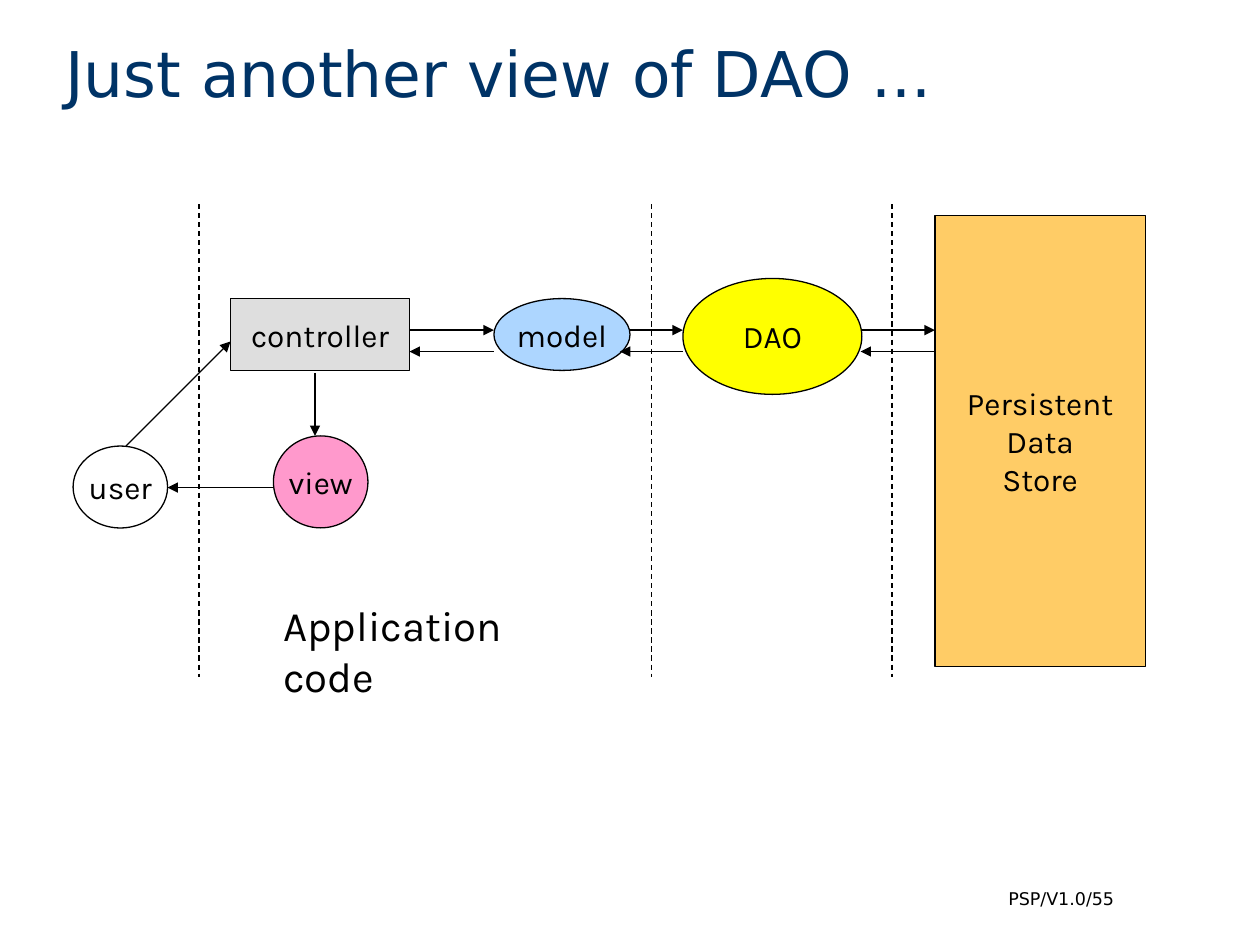
from lxml import etree
from pptx import Presentation
from pptx.dml.color import RGBColor
from pptx.enum import dml, shapes, text
from pptx.oxml.ns import qn
from pptx.util import Inches, Pt

BLACK = RGBColor(0x00, 0x00, 0x00)
NAVY = RGBColor(0x00, 0x33, 0x66)
GREY = RGBColor(0xDE, 0xDE, 0xDE)
BLUE = RGBColor(0xAD, 0xD6, 0xFF)
PINK = RGBColor(0xFF, 0x99, 0xCC)
YELLOW = RGBColor(0xFF, 0xFF, 0x00)
ORANGE = RGBColor(0xFF, 0xCC, 0x66)

SANS, KARLA = "DejaVu Sans", "Karla"
RECT, OVAL = shapes.MSO_SHAPE.RECTANGLE, shapes.MSO_SHAPE.OVAL
LEFT, MID, RIGHT = (text.PP_ALIGN.LEFT, text.PP_ALIGN.CENTER,
                    text.PP_ALIGN.RIGHT)
TOP, CORE, BASE = (text.MSO_ANCHOR.TOP, text.MSO_ANCHOR.MIDDLE,
                   text.MSO_ANCHOR.BOTTOM)

# Heights of the paired arrows: requests above, replies below
ASK, REPLY = 2.62, 2.79


def write(shape, lines, size, font, color=BLACK, align=LEFT, anchor=TOP,
          wrap=True):
    frame = shape.text_frame
    frame.word_wrap = wrap
    frame.vertical_anchor = anchor
    for i, line in enumerate(lines):
        para = frame.add_paragraph() if i else frame.paragraphs[0]
        para.alignment = align
        run = para.add_run()
        run.text = line
        run.font.size = Pt(size)
        run.font.name = font
        run.font.color.rgb = color


def label(slide, box, words, size, font, **style):
    shape = slide.shapes.add_textbox(*map(Inches, box))
    write(shape, [words], size, font, **style)


def node(slide, kind, box, fill, *lines):
    """Add an outlined shape with centred text; no fill if fill is None."""
    shape = slide.shapes.add_shape(kind, *map(Inches, box))
    shape.shadow.inherit = False
    if fill is None:
        shape.fill.background()
    else:
        shape.fill.solid()
        shape.fill.fore_color.rgb = fill
    shape.line.color.rgb = BLACK
    shape.line.width = Pt(0.75)
    write(shape, lines, 18, KARLA, align=MID, anchor=CORE, wrap=False)


def link(slide, *ends):
    """Add a plain thin line from x1, y1 to x2, y2."""
    line = slide.shapes.add_connector(shapes.MSO_CONNECTOR.STRAIGHT,
                                      *map(Inches, ends))
    line.line.color.rgb = BLACK
    line.line.width = Pt(0.75)
    etree.SubElement(line._element.spPr, qn("a:effectLst"))
    return line


def arrow(slide, *ends):
    line = link(slide, *ends)
    etree.SubElement(line.line._get_or_add_ln(), qn("a:tailEnd"),
                     type="triangle")


def border(slide, x):
    """Add a dashed line between two layers."""
    line = link(slide, x, 1.62, x, 5.37)
    line.line.dash_style = dml.MSO_LINE.DASH


def main():
    deck = Presentation()
    deck.slide_width, deck.slide_height = Inches(10), Inches(7.5)
    slide = deck.slides.add_slide(deck.slide_layouts[6])

    label(slide, (7.44, 7, 1.5, 0.27), "PSP/V1.0/55", 10, SANS, align=RIGHT)
    label(slide, (0.42, 0.22, 8.93, 0.7), "Just another view of DAO ...",
          36, SANS, color=NAVY, anchor=BASE)

    node(slide, RECT, (1.83, 2.37, 1.42, 0.57), GREY, "controller")
    node(slide, OVAL, (0.58, 3.54, 0.75, 0.65), None, "user")
    node(slide, OVAL, (3.92, 2.37, 1.08, 0.57), BLUE, "model")
    node(slide, OVAL, (2.17, 3.46, 0.75, 0.73), PINK, "view")
    node(slide, OVAL, (5.42, 2.21, 1.42, 0.92), YELLOW, "DAO")
    node(slide, RECT, (7.42, 1.71, 1.67, 3.58), ORANGE,
         "Persistent", "Data", "Store")

    # start of request, start of reply, end of reply
    for start, back, end in ((3.25, 3.92, 3.25), (5, 5.42, 4.92),
                             (6.83, 7.42, 6.83)):
        arrow(slide, start, ASK, back, ASK)
        arrow(slide, back, REPLY, end, REPLY)
    arrow(slide, 2.5, 2.96, 2.5, 3.46)
    arrow(slide, 2.17, 3.87, 1.33, 3.87)
    arrow(slide, 1, 3.54, 1.83, 2.71)

    for x in (1.58, 5.17, 7.08):
        border(slide, x)
    label(slide, (2.15, 4.71, 2.6, 0.5), "Application code", 24, KARLA)

    deck.save("out.pptx")


if __name__ == "__main__":
    main()
